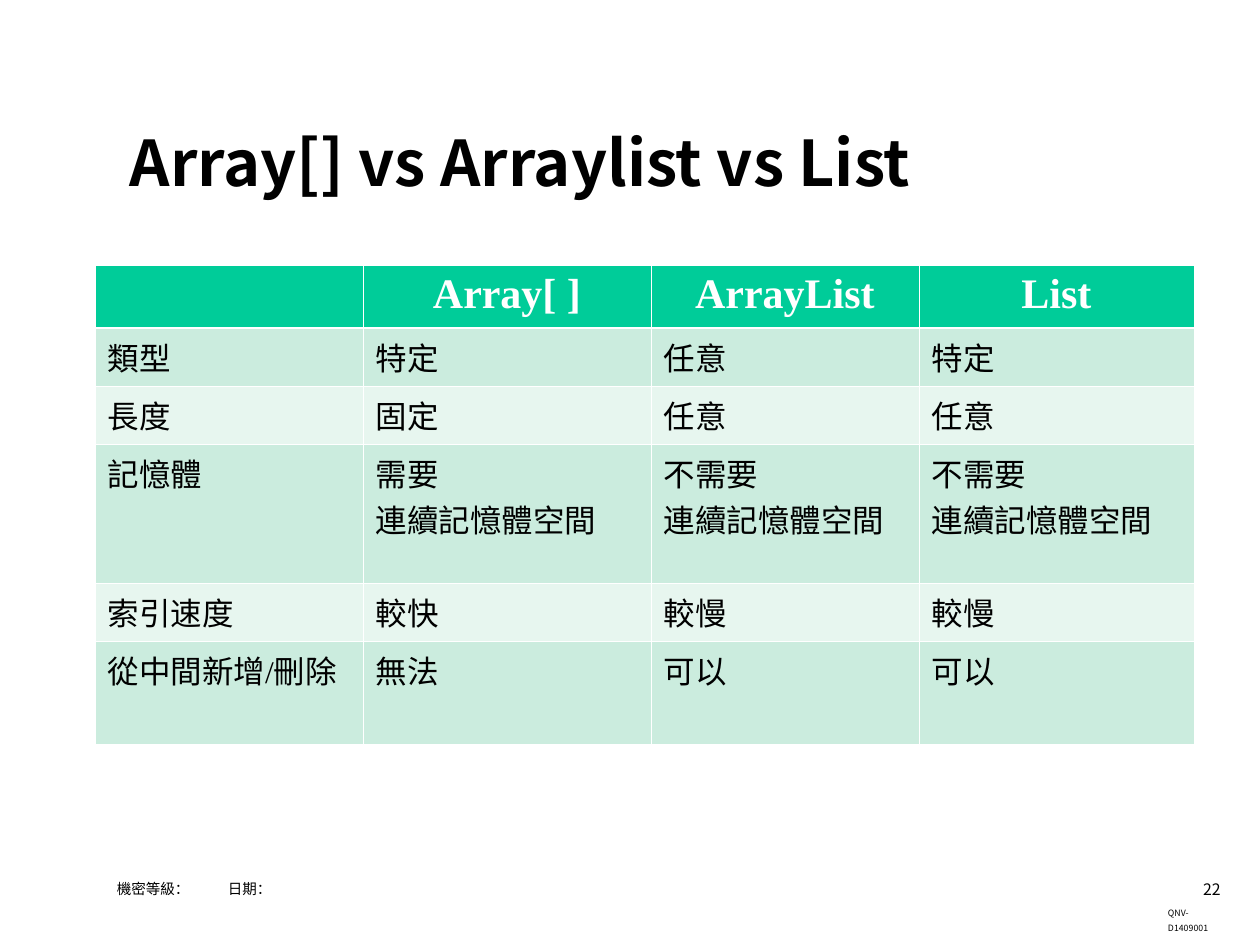
from dataclasses import dataclass

from lxml.etree import SubElement
from pptx import Presentation
from pptx.dml.color import RGBColor
from pptx.enum.text import MSO_ANCHOR as Anchor, PP_ALIGN as Align
from pptx.oxml.ns import qn
from pptx.slide import Slide
from pptx.util import Emu, Pt

BLACK = RGBColor(0x00, 0x00, 0x00)
WHITE = RGBColor(0xFF, 0xFF, 0xFF)
GREEN = RGBColor(0x00, 0xCC, 0x99)
BANDS = RGBColor(0xE7, 0xF6, 0xEF), RGBColor(0xCB, 0xEC, 0xDE)
SANS = "Noto Sans CJK SC"
SERIF = "Times New Roman"
THIN, THICK = 0.45, 1.47

COLUMNS = [268, 288, 268, 275]
HEIGHTS = [62, 58, 58, 139, 58, 103]
ROWS = [
    ["", "Array[ ]", "ArrayList", "List"],
    ["類型", "特定", "任意", "特定"],
    ["長度", "固定", "任意", "任意"],
    ["記憶體", "需要\n連續記憶體空間", "不需要\n連續記憶體空間", "不需要\n連續記憶體空間"],
    ["索引速度", "較快", "較慢", "較慢"],
    ["從中間新增/刪除", "無法", "可以", "可以"],
]


def px(length):
    return Emu(round(length * 914400 / 126))


@dataclass
class SlideBuilder:
    slide: Slide
    east_asian: str = SANS

    def run(self, paragraph, text, size, font=SANS, color=BLACK, bold=False):
        run = paragraph.add_run()
        run.text = text
        run.font.size = Pt(size)
        run.font.name = font
        run.font.bold = bold
        run.font.color.rgb = color
        SubElement(run.font._element, qn("a:ea"), typeface=self.east_asian)

    def text(self, box, texts, size, bold=False, align=Align.LEFT, anchor=Anchor.TOP,
             inset=13, line_spacing=1.0, space_before=0, tab=None):
        shape = self.slide.shapes.add_textbox(*map(px, box))
        frame = shape.text_frame
        frame.word_wrap = True
        frame.vertical_anchor = anchor
        frame.margin_left = px(inset)
        paragraph = frame.paragraphs[0]
        paragraph.alignment = align
        paragraph.line_spacing = line_spacing
        paragraph.space_before = Pt(space_before)
        if tab:
            tabs = SubElement(paragraph._p.get_or_add_pPr(), qn("a:tabLst"))
            SubElement(tabs, qn("a:tab"), pos=str(px(tab)), algn="l")
        for text in texts:
            self.run(paragraph, text, size, bold=bold)

    def border(self, cell, side, width):
        line = SubElement(cell._tc.get_or_add_tcPr(), qn(f"a:ln{side}"), w=str(Pt(width)))
        fill = SubElement(line, qn("a:solidFill"))
        SubElement(fill, qn("a:srgbClr"), val=str(WHITE))

    def cell(self, cell, text, row):
        header = row == 0
        widths = {"L": THIN, "R": THIN,
                  "T": THICK if row == 1 else THIN,
                  "B": THICK if header else THIN}
        for side, width in widths.items():
            self.border(cell, side, width)
        cell.fill.solid()
        cell.fill.fore_color.rgb = GREEN if header else BANDS[row % 2]
        if not text:
            return
        frame = cell.text_frame
        for index, line in enumerate(text.split("\n")):
            paragraph = frame.add_paragraph() if index else frame.paragraphs[0]
            paragraph.alignment = Align.CENTER if header else Align.LEFT
            self.run(paragraph, line, 24 if header else 18, SERIF,
                     WHITE if header else BLACK, header)

    def table(self, left, top, columns, heights, rows):
        shape = self.slide.shapes.add_table(
            len(rows), len(columns), px(left), px(top), px(sum(columns)), px(sum(heights)))
        table = shape.table
        for column, width in zip(table.columns, columns):
            column.width = px(width)
        for index, (row, height) in enumerate(zip(table.rows, heights)):
            row.height = px(height)
            for cell, text in zip(row.cells, rows[index]):
                self.cell(cell, text, index)


def main():
    presentation = Presentation()
    presentation.slide_width = px(1260)
    presentation.slide_height = px(945)
    builder = SlideBuilder(presentation.slides.add_slide(presentation.slide_layouts[6]))
    builder.text((1147, 874, 86, 32), ["22"], 9, align=Align.RIGHT)
    builder.text((1155, 896, 84, 29), ["QNV-D1409001"], 5, line_spacing=1.5, space_before=1.9)
    builder.text((117, 106, 1099, 110), ["Array[] vs Arraylist vs List"], 36,
                 bold=True, anchor=Anchor.MIDDLE)
    builder.table(95, 265, COLUMNS, HEIGHTS, ROWS)
    builder.text((117, 869, 935, 39), ["機密等級：", "\t日期："], 8.3, inset=0,
                 line_spacing=1.3, space_before=3.4, tab=111)
    presentation.save("out.pptx")


if __name__ == "__main__":
    main()
